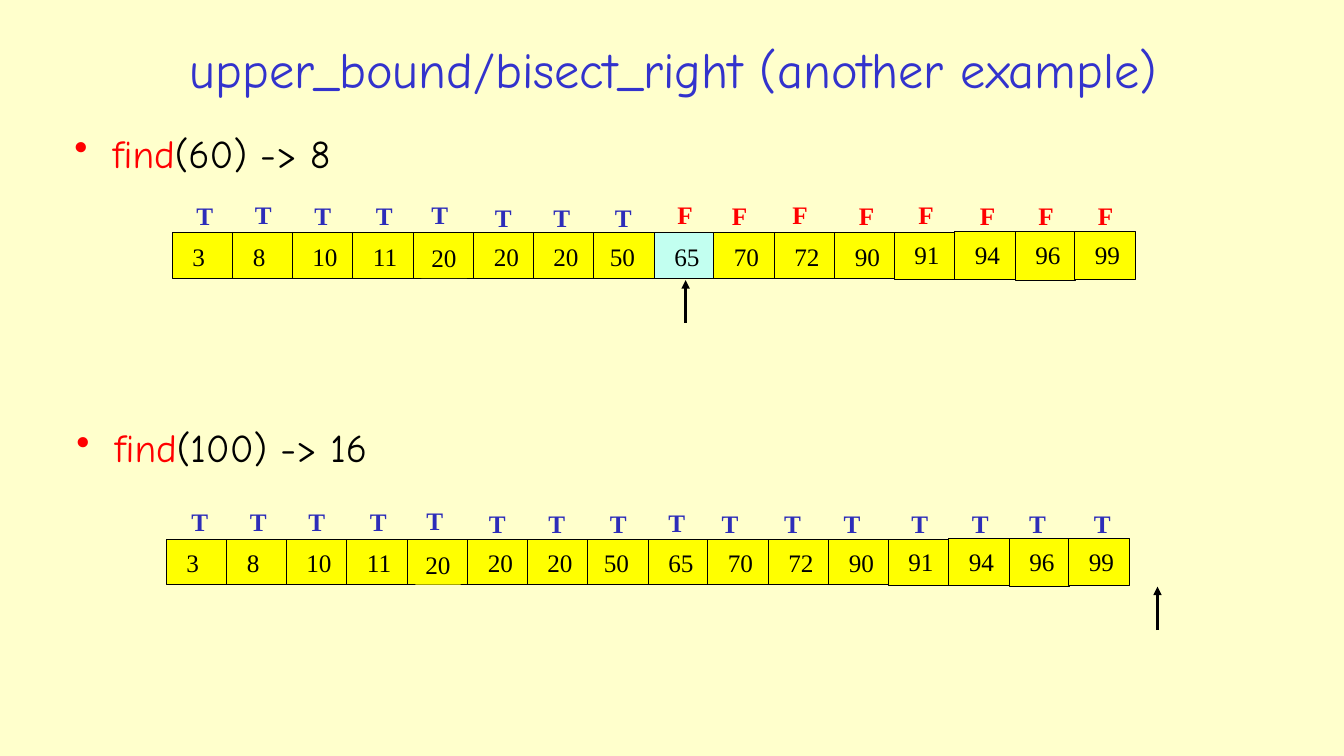
from lxml.etree import SubElement
from pptx import Presentation
from pptx.dml.color import RGBColor
from pptx.enum.shapes import MSO_CONNECTOR as Connector, MSO_SHAPE as Shape
from pptx.enum.text import MSO_ANCHOR as Anchor, MSO_AUTO_SIZE as AutoSize, PP_ALIGN as Align
from pptx.oxml.ns import qn
from pptx.util import Pt

PX = 9144
CREAM = RGBColor(0xFF, 0xFF, 0xCC)
BLUE = RGBColor(0x33, 0x33, 0xCC)
NAVY = RGBColor(0x2D, 0x2D, 0xB9)
RED = RGBColor(0xFF, 0x00, 0x00)
BLACK = RGBColor(0x00, 0x00, 0x00)
YELLOW = RGBColor(0xFF, 0xFF, 0x00)
AQUA = RGBColor(0xC2, 0xFF, 0xF0)

HEADING_FONT = "Comic Neue"
ARRAY_FONT = "Times New Roman"

VALUES = [3, 8, 10, 11, 20, 20, 20, 50, 65, 70, 72, 90, 91, 94, 96, 99]
CELL_PITCH = 59.7
CELL_HEIGHTS = [45] * 12 + [46, 47, 48, 47]
LABEL_SHIFTS = {4: (8, 5), 7: (6, 3)}

FIRST_MARK_LEFTS = [185, 243, 302, 363, 418, 481, 539, 600,
                    662, 716, 776, 842, 901, 962, 1020, 1079]
FIRST_MARK_TOPS = [194, 193, 194, 194, 193, 196, 196, 196,
                   193, 194, 193, 194, 193, 194, 194, 194]
SECOND_MARK_LEFTS = [180, 238, 296, 357, 413, 475, 534, 595,
                     653, 706, 768, 827, 894, 954, 1011, 1075]
SECOND_MARK_TOPS = [497] * 4 + [496] + [499] * 3 + [498] + [499] * 7


class ArraySlide:
    def __init__(self, presentation):
        self.slide = presentation.slides.add_slide(presentation.slide_layouts[6])
        self.slide.background.fill.solid()
        self.slide.background.fill.fore_color.rgb = CREAM

    def text_box(self, left, top, width, height):
        shape = self.slide.shapes.add_textbox(left * PX, top * PX, width * PX, height * PX)
        shape.text_frame.word_wrap = True
        return shape

    def title(self, text, left, top, width, height):
        frame = self.text_box(left, top, width, height).text_frame
        frame.vertical_anchor = Anchor.MIDDLE
        paragraph = frame.paragraphs[0]
        paragraph.text = text
        paragraph.alignment = Align.CENTER
        self.style(paragraph, HEADING_FONT, 36, BLUE)

    def bullet(self, name, rest, left, top):
        paragraph = self.text_box(left, top, 1223, 55).text_frame.paragraphs[0]
        properties = paragraph._p.get_or_add_pPr()
        properties.set("marL", str(38 * PX))
        properties.set("indent", str(-38 * PX))
        color = SubElement(properties, qn("a:buClr"))
        SubElement(color, qn("a:srgbClr"), val=str(RED))
        SubElement(properties, qn("a:buChar"), char="•")
        for text, run_color in ((name, RED), (rest, BLACK)):
            run = paragraph.add_run()
            run.text = text
            run.font.color.rgb = run_color
        self.style(paragraph, HEADING_FONT, 28)

    def style(self, paragraph, font_name, size, color=None, bold=False):
        font = paragraph.font
        font.name = font_name
        font.size = Pt(size)
        font.bold = bold
        if color is not None:
            font.color.rgb = color

    def tight_text(self, shape, text, color, bold=False):
        frame = shape.text_frame
        frame.word_wrap = False
        frame.auto_size = AutoSize.SHAPE_TO_FIT_TEXT
        frame.vertical_anchor = Anchor.TOP
        paragraph = frame.paragraphs[0]
        paragraph.text = text
        paragraph.alignment = Align.LEFT
        self.style(paragraph, ARRAY_FONT, 18, color, bold)

    def rectangle(self, left, top, width, height, fill, outlined):
        shape = self.slide.shapes.add_shape(
            Shape.RECTANGLE, left * PX, top * PX, width * PX, height * PX)
        shape.shadow.inherit = False
        shape.fill.solid()
        shape.fill.fore_color.rgb = fill
        if outlined:
            shape.line.color.rgb = BLACK
            shape.line.width = Pt(0.75)
        else:
            shape.line.fill.background()
        return shape

    def array(self, left, top, highlighted=None):
        for index, (value, height) in enumerate(zip(VALUES, CELL_HEIGHTS)):
            cell_left = round(left + index * CELL_PITCH)
            cell_top = top - (height > 46)
            fill = AQUA if index == highlighted else YELLOW
            self.rectangle(cell_left, cell_top, 60, height, fill, True)
            shift_x, shift_y = LABEL_SHIFTS.get(index, (10, 2 if index > 11 else 3))
            width = 33 if value < 10 else 45
            label = self.rectangle(cell_left + shift_x, top + shift_y, width, 40, fill, False)
            self.tight_text(label, str(value), BLACK)

    def marks(self, letters, lefts, tops):
        for letter, left, top in zip(letters, lefts, tops):
            width, color = (37, NAVY) if letter == "T" else (36, RED)
            self.tight_text(self.text_box(left, top, width, 40), letter, color, True)

    def arrow_up(self, x, bottom, top):
        connector = self.slide.shapes.add_connector(
            Connector.STRAIGHT, x * PX, bottom * PX, x * PX, top * PX)
        connector.line.color.rgb = BLACK
        connector.line.width = Pt(2)
        SubElement(connector.line._get_or_add_ln(), qn("a:tailEnd"), type="triangle")
        SubElement(connector._element.spPr, qn("a:effectLst"))


def main():
    presentation = Presentation()
    presentation.slide_width = 1333 * PX
    presentation.slide_height = 750 * PX
    page = ArraySlide(presentation)

    page.title("upper_bound/bisect_right (another example)", 64, 26, 1208, 84)

    page.bullet("find", "(60) -> 8", 64, 123)
    page.array(171, 231, highlighted=8)
    page.marks("T" * 8 + "F" * 8, FIRST_MARK_LEFTS, FIRST_MARK_TOPS)
    page.arrow_up(680, 320, 278)

    page.bullet("find", "(100) -> 16", 66, 415)
    page.array(165, 535)
    page.marks("T" * 16, SECOND_MARK_LEFTS, SECOND_MARK_TOPS)
    page.arrow_up(1148, 625, 582)

    presentation.save("out.pptx")


if __name__ == "__main__":
    main()
